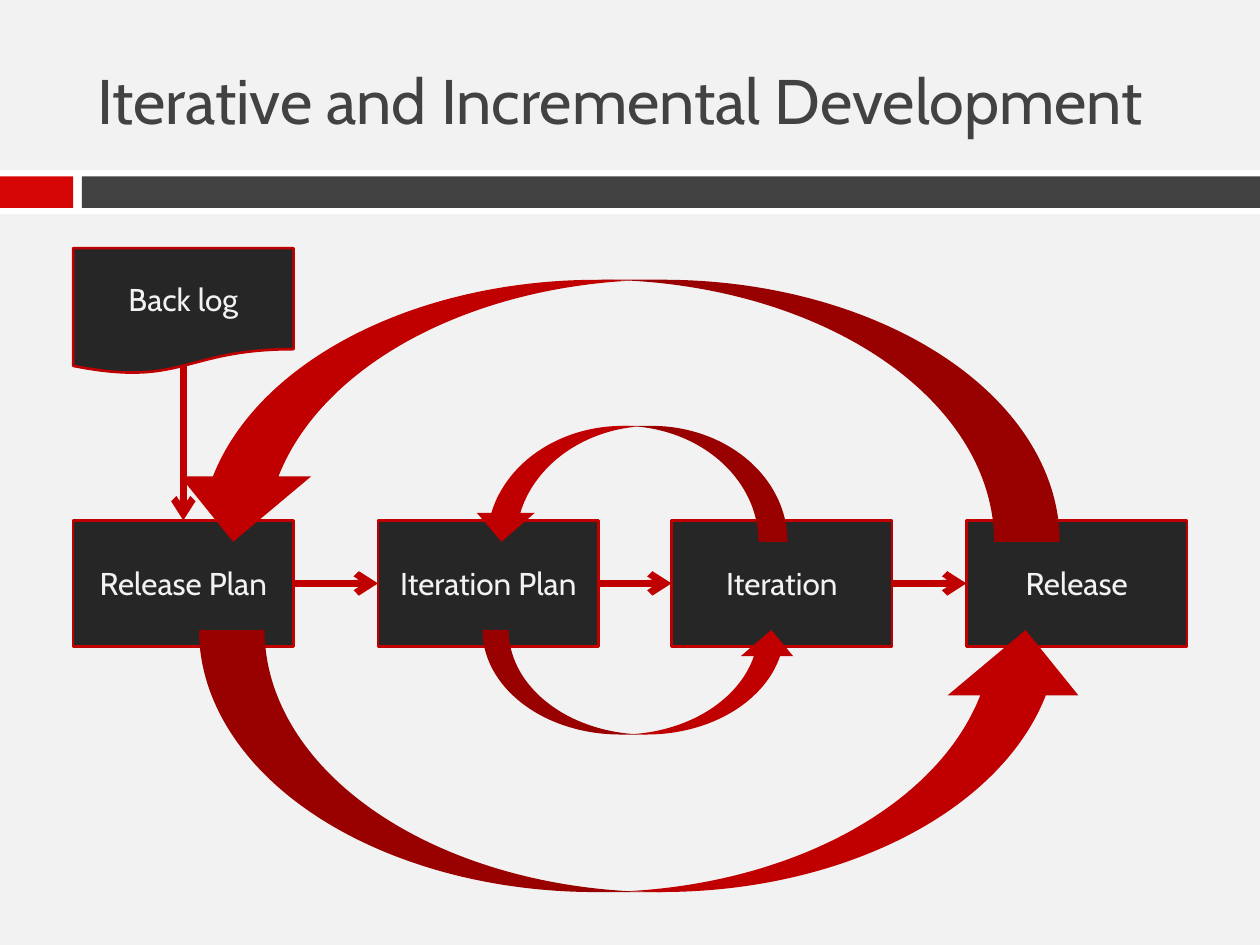
from lxml import etree
from pptx import Presentation, util as u
from pptx.dml.color import RGBColor
from pptx.enum import shapes, text
from pptx.oxml.ns import qn

PALE = RGBColor(0xF2, 0xF2, 0xF2)
WHITE = RGBColor(0xFF, 0xFF, 0xFF)
BRIGHT_RED = RGBColor(0xD7, 0x06, 0x06)
RED = RGBColor(0xC0, 0x00, 0x00)
GREY = RGBColor(0x42, 0x42, 0x42)
DARK = RGBColor(0x26, 0x26, 0x26)
FONT = "Cabin"
BOX_W, BOX_H, ROW_Y = 1.75, 1, 4.13
SHAPE = shapes.MSO_SHAPE


def add_text(sp, words, size, color, align):
    tf = sp.text_frame
    tf.word_wrap = True
    tf.vertical_anchor = text.MSO_ANCHOR.MIDDLE
    p = tf.paragraphs[0]
    p.alignment = align
    r = p.add_run()
    r.text = words
    r.font.size = u.Pt(size)
    r.font.name = FONT
    r.font.color.rgb = color


def add_filled(s, kind, x, y, w, h, fill):
    sp = s.shapes.add_shape(kind, *map(u.Inches, (x, y, w, h)))
    sp.shadow.inherit = False
    sp.fill.solid()
    sp.fill.fore_color.rgb = fill
    sp.line.fill.background()
    return sp


def add_box(s, kind, x, y, words):
    sp = add_filled(s, kind, x, y, BOX_W, BOX_H, DARK)
    sp.line.color.rgb = RED
    sp.line.width = u.Pt(1.5)
    add_text(sp, words, 18, PALE, text.PP_ALIGN.CENTER)


def add_arrow(s, x1, y1, x2, y2):
    sp = s.shapes.add_connector(shapes.MSO_CONNECTOR.STRAIGHT,
                                *map(u.Inches, (x1, y1, x2, y2)))
    sp.line.color.rgb = RED
    sp.line.width = u.Pt(4)
    etree.SubElement(sp.line._get_or_add_ln(), qn("a:tailEnd"), type="arrow")
    etree.SubElement(sp._element.spPr, qn("a:effectLst"))


def add_loop(s, x, y, w, h, rotation):
    sp = add_filled(s, SHAPE.CURVED_UP_ARROW, x, y, w, h, RED)
    sp.rotation = rotation


def add_title(s, words):
    sp = s.shapes.title
    sp.left, sp.top = u.Inches(0.67), u.Inches(0.25)
    sp.width, sp.height = u.Inches(8.92), u.Inches(1.08)
    add_text(sp, words, 36, GREY, text.PP_ALIGN.LEFT)


def main():
    prs = Presentation()
    prs.slide_width, prs.slide_height = u.Inches(10), u.Inches(7.5)
    s = prs.slides.add_slide(prs.slide_layouts[5])
    s.background.fill.solid()
    s.background.fill.fore_color.rgb = PALE

    # Title and the band below it
    add_title(s, "Iterative and Incremental Development")
    add_filled(s, SHAPE.RECTANGLE, 0, 1.35, 10, 0.35, WHITE)
    add_filled(s, SHAPE.RECTANGLE, 0, 1.4, 0.58, 0.25, BRIGHT_RED)
    add_filled(s, SHAPE.RECTANGLE, 0.65, 1.4, 9.35, 0.25, GREY)

    # Backlog document and the row of steps
    steps = [(0.58, "Release Plan"), (3, "Iteration Plan"),
             (5.33, "Iteration"), (7.67, "Release")]
    first_x = steps[0][0]
    add_box(s, SHAPE.FLOWCHART_DOCUMENT, first_x, 1.97, "Back log")
    for x, words in steps:
        add_box(s, SHAPE.RECTANGLE, x, ROW_Y, words)

    # Straight arrows: backlog to plan, then step to step
    add_arrow(s, first_x + BOX_W / 2, 2.9, first_x + BOX_W / 2, ROW_Y)
    mid_y = ROW_Y + BOX_H / 2
    for (x, _), (next_x, _) in zip(steps, steps[1:]):
        add_arrow(s, x + BOX_W, mid_y, next_x, mid_y)

    # Inner iteration loop, then outer release loop
    add_loop(s, 3.83, 5, 2.5, 0.83, 0)
    add_loop(s, 3.75, 3.38, 2.5, 0.92, 180)
    add_loop(s, 1.33, 2.22, 7.08, 2.08, 180)
    add_loop(s, 1.58, 5, 7.08, 2.08, 0)

    prs.save("out.pptx")


if __name__ == "__main__":
    main()
